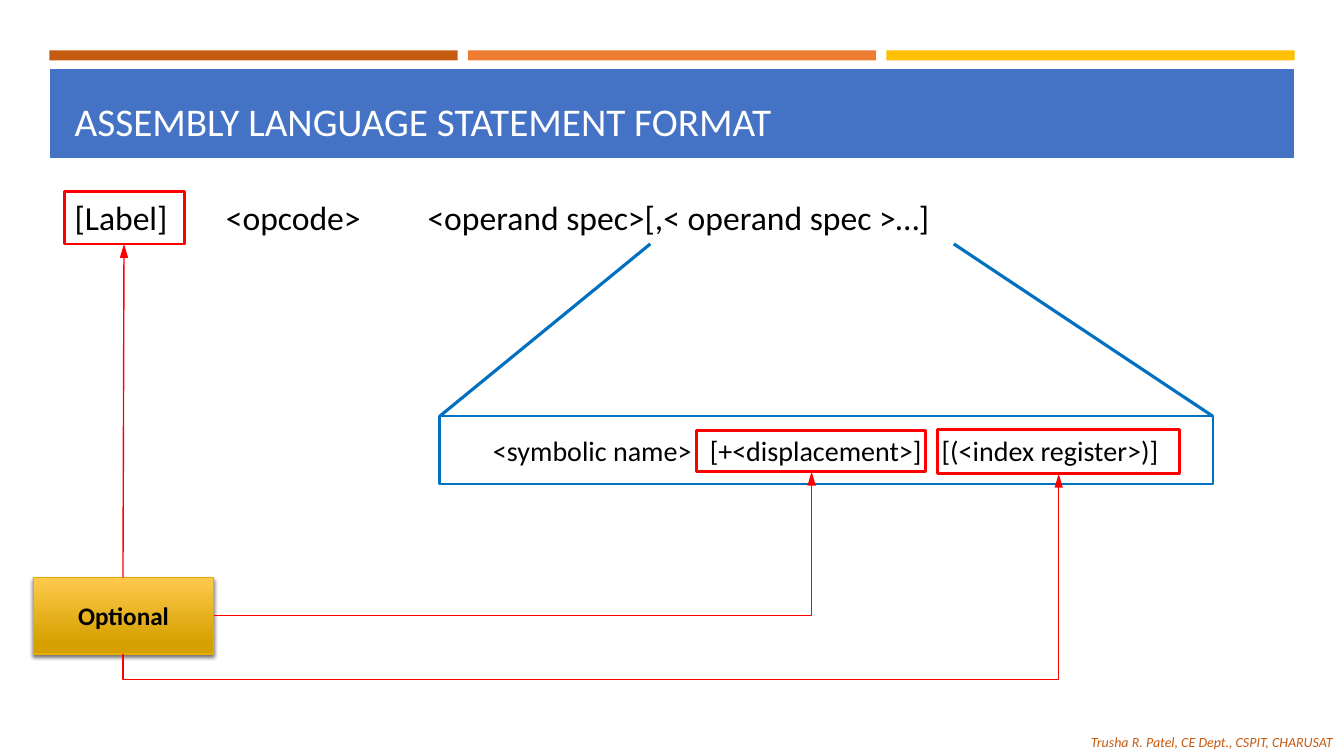
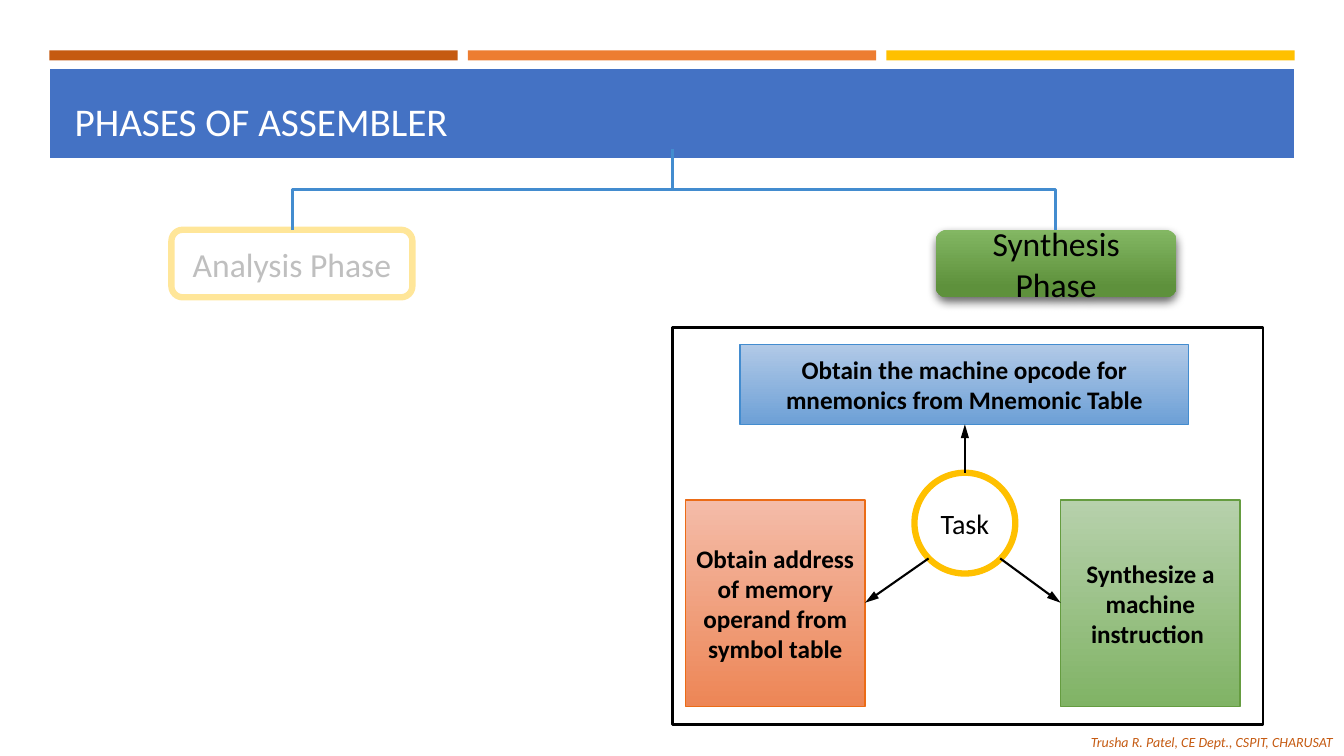
"""Build two slides on assembly language statements and assembler phases."""
from lxml import etree
from pptx import Presentation
from pptx import util as u
from pptx.dml.color import RGBColor
from pptx.enum import shapes, text
from pptx.oxml import ns

FONT = "Calibri"
WHITE, BLACK, RED, BLUE, SKY = "FFFFFF", "000000", "FF0000", "0070C0", "438CCF"
RUST, ORANGE, GOLD, BAND = "C55A11", "ED7D31", "FFC000", "4472C4"
RECT, ROUND, OVAL = (shapes.MSO_SHAPE.RECTANGLE, shapes.MSO_SHAPE.ROUNDED_RECTANGLE,
                     shapes.MSO_SHAPE.OVAL)
hue = RGBColor.from_string


def add_box(page, kind, place, fill=None, line=None, weight=1.0, words="",
            size=18, color=BLACK, bold=False, shadow=None):
    box = page.shapes.add_shape(kind, *map(u.Inches, place))
    box.shadow.inherit = False
    if isinstance(fill, tuple):
        box.fill.gradient()
        box.fill.gradient_angle = 270
        top, bottom, reach = fill
        for stop, shade, position in zip(box.fill.gradient_stops, (top, bottom), (0, reach)):
            stop.color.rgb = hue(shade)
            stop.position = position
    elif fill:
        box.fill.solid()
        box.fill.fore_color.rgb = hue(fill)
    else:
        box.fill.background()
    if line:
        box.line.color.rgb = hue(line)
        box.line.width = u.Pt(weight)
    else:
        box.line.fill.background()
    if shadow:
        opacity, blur, distance, angle = shadow
        effects = box.element.spPr.find(ns.qn("a:effectLst"))
        outer = etree.SubElement(effects, ns.qn("a:outerShdw"), blurRad=str(u.Pt(blur)),
                                 dist=str(u.Pt(distance)), dir=str(angle * 60000),
                                 rotWithShape="0")
        shade = etree.SubElement(outer, ns.qn("a:srgbClr"), val=BLACK)
        etree.SubElement(shade, ns.qn("a:alpha"), val=str(opacity * 1000))
    if words:
        box.text_frame.text = words
        box.text_frame.word_wrap = True
        box.text_frame.vertical_anchor = text.MSO_ANCHOR.MIDDLE
        para = box.text_frame.paragraphs[0]
        para.alignment = text.PP_ALIGN.CENTER
        font = para.runs[0].font
        font.name, font.size, font.bold = FONT, u.Pt(size), bold
        font.color.rgb = hue(color)
    return box


def add_link(page, start, end, color, weight, arrow=False, bend=None, middle=0.5):
    (x1, y1), (x2, y2) = start, end
    if bend == "vertical":
        cx, cy = (x1 + x2) / 2, (y1 + y2) / 2
        x1, y1, x2, y2 = cx + y1 - cy, cy - x1 + cx, cx + y2 - cy, cy - x2 + cx
    kind = shapes.MSO_CONNECTOR.ELBOW if bend else shapes.MSO_CONNECTOR.STRAIGHT
    link = page.shapes.add_connector(kind, *map(u.Inches, (x1, y1, x2, y2)))
    link.line.color.rgb = hue(color)
    link.line.width = u.Pt(weight)
    props = link.element.spPr
    if bend == "corner":
        props.prstGeom.set("prst", "bentConnector2")
    elif bend == "vertical":
        props.xfrm.set("rot", "5400000")
        etree.SubElement(props.prstGeom.get_or_add_avLst(), ns.qn("a:gd"), name="adj1",
                         fmla=f"val {round(middle * 100000)}")
    if arrow:
        etree.SubElement(props.get_or_add_ln(), ns.qn("a:tailEnd"), type="triangle", len="lg")
    etree.SubElement(props, ns.qn("a:effectLst"))


deck = Presentation()
deck.slide_width, deck.slide_height = u.Inches(13.33), u.Inches(7.5)
pages = []
for heading in ("ASSEMBLY LANGUAGE STATEMENT FORMAT", "PHASES OF ASSEMBLER"):
    page = deck.slides.add_slide(deck.slide_layouts[1])
    title = page.shapes.title
    title.left, title.top, title.width, title.height = map(u.Inches, (0.64, 0.77, 12.06, 0.71))
    frame = title.text_frame
    frame.text = heading
    frame.vertical_anchor = text.MSO_ANCHOR.BOTTOM
    frame.auto_size = text.MSO_AUTO_SIZE.NONE
    frame.paragraphs[0].alignment = text.PP_ALIGN.LEFT
    font = frame.paragraphs[0].runs[0].font
    font.name, font.size = FONT, u.Pt(28)
    font.color.rgb = hue(WHITE)
    pages.append(page)
statement, phases = pages

decor = [add_box(statement, RECT, (0.48, 0.67, 12.37, 0.91), BAND, WHITE, 2)]
for column, color in enumerate((RUST, ORANGE, GOLD)):
    decor.append(add_box(statement, RECT, (0.49 + 4.15 * column, 0.5, 4.05, 0.1), color))
credit = statement.shapes.add_textbox(*map(u.Inches, (10.72, 7.23, 2.61, 0.27)))
credit.text_frame.text = "Trusha R. Patel, CE Dept., CSPIT, CHARUSAT"
credit.text_frame.word_wrap = False
font = credit.text_frame.paragraphs[0].runs[0].font
font.name, font.size, font.italic = FONT, u.Pt(10), True
font.color.rgb = hue(RUST)
decor.append(credit)
master_tree = deck.slide_master.shapes.element
for number, shape in enumerate(decor, 20):
    shape.element.nvSpPr.cNvPr.set("id", str(number))
    master_tree.insert_element_before(shape.element, "p:extLst")

operand = add_box(statement, RECT, (4.36, 4.13, 7.67, 0.67), WHITE, BLUE, 1.75,
                  "<symbolic name>\t[+<displacement>]\t[(<index register>)]", 20)
operand.text_frame.margin_left = u.Inches(0.53)
operand_line = operand.text_frame.paragraphs[0]
operand_line.alignment = text.PP_ALIGN.LEFT
tabs = etree.SubElement(operand_line._p.get_or_add_pPr(), ns.qn("a:tabLst"))
for stop in (2.15, 4.45):
    etree.SubElement(tabs, ns.qn("a:tab"), pos=str(u.Inches(stop)), algn="l")
for top_x, bottom_x in ((6.45, 4.36), (9.46, 12.03)):
    add_link(statement, (top_x, 2.42), (bottom_x, 4.13), BLUE, 2.25)

body = statement.placeholders[1]
body.left, body.top, body.width, body.height = map(u.Inches, (0.64, 1.9, 12.06, 5.25))
body.text_frame.text = "[Label]\t\t<opcode>\t\t<operand spec>[,< operand spec >…]"
body.text_frame.auto_size = text.MSO_AUTO_SIZE.NONE
syntax = body.text_frame.paragraphs[0]
layout = syntax._p.get_or_add_pPr()
layout.set("marL", "0")
layout.set("indent", "0")
layout.set("defTabSz", str(u.Inches(0.5)))
etree.SubElement(layout, ns.qn("a:buNone"))
syntax.space_before, syntax.space_after = u.Pt(0), u.Pt(6)
font = syntax.runs[0].font
font.name, font.size = FONT, u.Pt(24)
font.color.rgb = hue(BLACK)

for place in ((0.64, 1.9, 1.19, 0.52), (6.91, 4.27, 2.27, 0.41), (9.3, 4.26, 2.4, 0.44)):
    add_box(statement, RECT, place, line=RED, weight=1.75)
add_box(statement, RECT, (0.33, 5.73, 1.79, 0.76), ("FFCA4D", "D6A100", 0.84), "E6AD00", 1,
        "Optional", bold=True, shadow=(55, 3, 2, 90))
add_link(statement, (1.22, 5.73), (1.23, 2.42), RED, 1, True)
add_link(statement, (2.12, 6.11), (8.05, 4.68), RED, 1, True, "corner")
add_link(statement, (1.22, 6.49), (10.5, 4.7), RED, 1, True, "vertical", -0.14)

unused = phases.placeholders[1].element
unused.getparent().remove(unused)
add_box(phases, ROUND, (1.7, 2.28, 2.39, 0.67), WHITE, "FFE699", 4.5,
        "Analysis Phase", 24, "BFBFBF")
add_box(phases, ROUND, (9.28, 2.28, 2.39, 0.67), ("83B763", "5E913C", 0.84),
        words="Synthesis Phase", size=24, shadow=(60, 7, 3, 84))
for phase_x in (2.9, 10.47):
    add_link(phases, (6.67, 1.48), (phase_x, 2.28), SKY, 2.25, bend="vertical")

add_box(phases, OVAL, (9.07, 4.69, 1, 1), WHITE, GOLD, 4.5, "Task", 20)
add_box(phases, RECT, (6.67, 3.25, 5.86, 3.94), line=BLACK, weight=1.75)
tasks = (
    ("Obtain the machine opcode for mnemonics from Mnemonic Table", (7.34, 3.42, 4.45, 0.79),
     ("B1C9E7", "6DA0D6", 1), SKY, (9.57, 4.69), (9.57, 4.21)),
    ("Obtain address of memory operand from symbol table", (6.8, 4.96, 1.78, 2.05),
     ("F4BCA9", "ED8656", 1), "EB6C17", (9.21, 5.54), (8.58, 5.98)),
    ("Synthesize a machine instruction ", (10.52, 4.96, 1.78, 2.05),
     ("B7D1AC", "80B365", 1), "659C40", (9.92, 5.54), (10.52, 5.98)),
)
for words, place, fill, line, start, end in tasks:
    add_box(phases, RECT, place, fill, line, 1, words, bold=True)
    add_link(phases, start, end, BLACK, 1.5, True)

deck.save("out.pptx")
